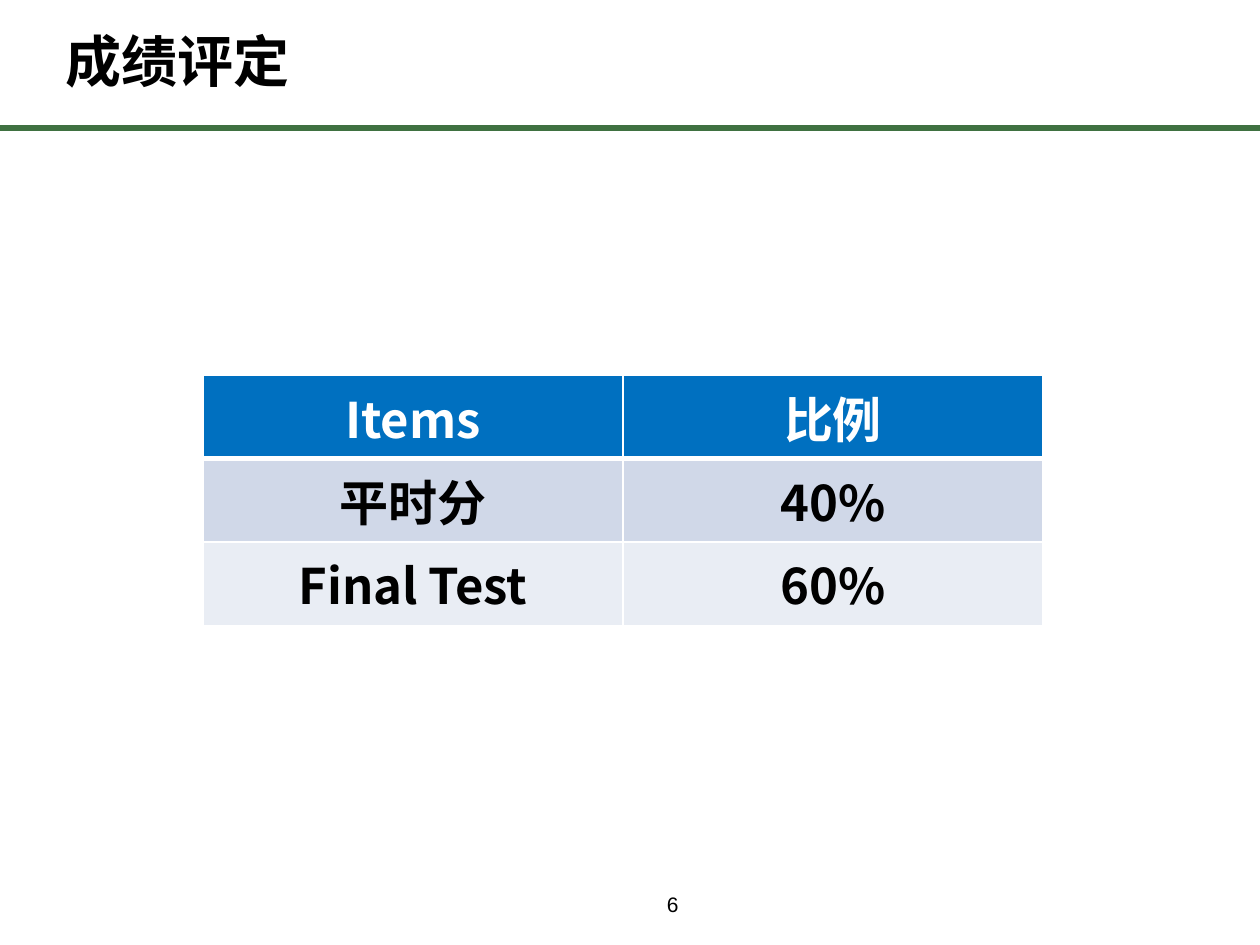
from lxml import etree
from pptx import Presentation
from pptx.dml.color import RGBColor
from pptx.enum.shapes import MSO_CONNECTOR
from pptx.enum.text import MSO_ANCHOR, MSO_AUTO_SIZE, PP_ALIGN
from pptx.oxml.ns import qn
from pptx.util import Emu, Pt

STRAIGHT = MSO_CONNECTOR.STRAIGHT
TOP, BOTTOM = MSO_ANCHOR.TOP, MSO_ANCHOR.BOTTOM
LEFT, CENTER = PP_ALIGN.LEFT, PP_ALIGN.CENTER
NO_AUTOSIZE = MSO_AUTO_SIZE.NONE

COLORS = {
    "text": "000000",
    "rule": "3F7141",
    "header": "0070C0",
    "header_text": "FFFFFF",
    "odd_row": "D0D8E8",
    "even_row": "E9EDF4",
    "grid": "FFFFFF",
}
HEADING_FONT = "Noto Sans CJK SC"
NUMBER_FONT = "Arial"
GRADES = [("Items", "比例"), ("平时分", "40%"), ("Final Test", "60%")]


def px(length):
    return Emu(length * 914400 // 126)


def rgb(name):
    return RGBColor.from_string(COLORS[name])


def apply(target, values):
    for attribute, value in values.items():
        setattr(target, attribute, value)


def write(paragraph, text, font_name, size, color="text", bold=False):
    """Add a run whose font also covers East Asian characters."""
    run = paragraph.add_run()
    run.text = text
    apply(run.font, {"size": Pt(size), "bold": bold, "name": font_name})
    run.font.color.rgb = rgb(color)
    east_asian = etree.SubElement(run.font._element, qn("a:ea"))
    east_asian.set("typeface", font_name)


def add_header(slide, left, top, width, height):
    """Place the title in the box and the rule below it across the slide."""
    title = slide.shapes.title
    apply(title, {"left": px(left), "top": px(top),
                  "width": px(width), "height": px(height)})
    apply(title.text_frame, {
        "word_wrap": True, "auto_size": NO_AUTOSIZE, "vertical_anchor": TOP,
        "margin_top": px(10), "margin_bottom": 0,
    })
    heading = title.text_frame.paragraphs[0]
    apply(heading, {"alignment": LEFT, "line_spacing": Pt(36),
                    "space_before": Pt(0)})
    write(heading, "成绩评定", HEADING_FONT, 32, bold=True)

    rule_y = px(top + height + 34)
    rule = slide.shapes.add_connector(STRAIGHT, 0, rule_y, px(1260), rule_y)
    rule.line.color.rgb = rgb("rule")
    rule.line.width = Pt(3)
    etree.SubElement(rule._element.spPr, qn("a:effectLst"))


def set_borders(cell, widths):
    """Draw the cell borders from widths in points, keyed by side."""
    properties = cell._tc.get_or_add_tcPr()
    for side, width in widths.items():
        border = etree.SubElement(properties, qn(f"a:ln{side}"), w=str(Pt(width)))
        fill = etree.SubElement(border, qn("a:solidFill"))
        etree.SubElement(fill, qn("a:srgbClr"), val=COLORS["grid"])


def add_grades(slide, left, top, width, height):
    frame = slide.shapes.add_table(len(GRADES), len(GRADES[0]), px(left),
                                   px(top), px(width), px(height))
    table = frame.table
    for row, row_height in zip(table.rows, (72, 72, 35)):
        row.height = px(row_height)
    frame.height = px(height)

    row_fills = ("header", "odd_row", "even_row")
    for row_index, (texts, fill) in enumerate(zip(GRADES, row_fills)):
        borders = {"L": 1, "R": 1, "T": 3 if row_index == 1 else 1,
                   "B": 3 if row_index == 0 else 1}
        color = "header_text" if row_index == 0 else "text"
        for column_index, text in enumerate(texts):
            cell = table.cell(row_index, column_index)
            set_borders(cell, borders)
            cell.fill.solid()
            cell.fill.fore_color.rgb = rgb(fill)
            paragraph = cell.text_frame.paragraphs[0]
            paragraph.alignment = CENTER
            write(paragraph, text, HEADING_FONT, 28, color, bold=True)


def add_page_number(slide, left, top, width, height):
    footer = slide.shapes.add_textbox(px(left), px(top), px(width), px(height))
    apply(footer.text_frame, {
        "word_wrap": True, "vertical_anchor": BOTTOM, "margin_left": px(614),
        "margin_top": 0, "margin_right": 0, "margin_bottom": 0,
    })
    paragraph = footer.text_frame.paragraphs[0]
    paragraph.line_spacing = Pt(20)
    write(paragraph, "6", NUMBER_FONT, 12)


def main():
    presentation = Presentation()
    apply(presentation, {"slide_width": px(1260), "slide_height": px(945)})
    slide = presentation.slides.add_slide(presentation.slide_layouts[5])
    add_header(slide, 53, 21, 1142, 73)
    add_grades(slide, 203, 375, 840, 214)
    add_page_number(slide, 53, 882, 1153, 35)
    presentation.save("out.pptx")


if __name__ == "__main__":
    main()
